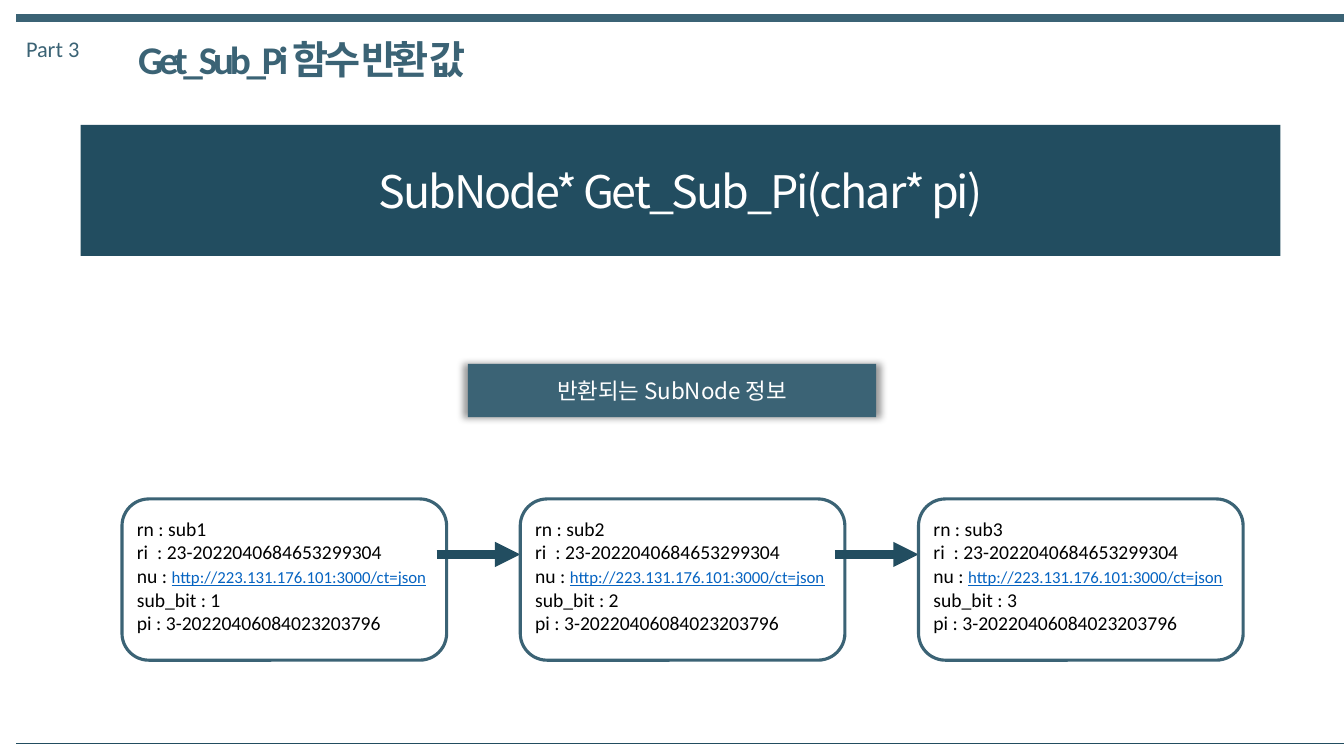
import dataclasses

import lxml.etree
import pptx
import pptx.dml.color
import pptx.enum.shapes
import pptx.enum.text
import pptx.oxml.ns
import pptx.util

Inches = pptx.util.Inches
Pt = pptx.util.Pt
Shape = pptx.enum.shapes.MSO_SHAPE
Align = pptx.enum.text.PP_ALIGN
Anchor = pptx.enum.text.MSO_ANCHOR


@dataclasses.dataclass(frozen=True)
class Theme:
    """Colours, fonts and type sizes of the slide."""
    dark: str = "224D60"
    teal: str = "3B6375"
    white: str = "FFFFFF"
    black: str = "000000"
    link: str = "0563C1"
    sans: str = "Calibri"
    noto: str = "Noto Sans CJK KR"
    hero: int = 32
    title: int = 28
    label: int = 16
    body: int = 14
    small: int = 12


THEME = Theme()


def rgb(code):
    """Turn a hex code into a colour."""
    return pptx.dml.color.RGBColor.from_string(code)


def add_tag(parent, tag, **attrs):
    """Append a DrawingML element and return it."""
    return lxml.etree.SubElement(parent, pptx.oxml.ns.qn(tag), attrs)


def style(run, size, color, font=THEME.sans, bold=False, space=0):
    """Format one run, with letter spacing in points."""
    run.font.size = Pt(size)
    run.font.name = font
    run.font.bold = bold
    run.font.color.rgb = rgb(color)
    props = run.font._element
    add_tag(props, "a:ea", typeface=THEME.noto)
    if space:
        props.set("spc", str(round(space * 100)))


def add_line(slide, start, end, color, width, arrow=False):
    """Draw a straight line, with an arrowhead if asked."""
    line = slide.shapes.add_connector(
        pptx.enum.shapes.MSO_CONNECTOR.STRAIGHT,
        *(Inches(n) for n in (*start, *end)))
    line.line.color.rgb = rgb(color)
    line.line.width = Pt(width)
    if arrow:
        add_tag(line.line._ln, "a:tailEnd", type="triangle")
    add_tag(line.element.spPr, "a:effectLst")


def add_band(slide, box, text, fill, size, space=0):
    """Draw a filled band with one centred line of text."""
    band = slide.shapes.add_shape(Shape.RECTANGLE, *map(Inches, box))
    band.shadow.inherit = False
    band.fill.solid()
    band.fill.fore_color.rgb = rgb(fill)
    band.line.fill.background()
    frame = band.text_frame
    frame.vertical_anchor = Anchor.MIDDLE
    frame.text = text
    line = frame.paragraphs[0]
    line.alignment = Align.CENTER
    style(line.runs[0], size, THEME.white, THEME.noto, space=space)
    return band


def add_glow(shape):
    """Give a shape a soft shadow on all sides."""
    effects = shape.element.spPr.find(pptx.oxml.ns.qn("a:effectLst"))
    outer = add_tag(effects, "a:outerShdw", blurRad=str(Pt(5)), dist="0",
                    sx="102000", sy="102000", algn="ctr", rotWithShape="0")
    color = add_tag(outer, "a:srgbClr", val=THEME.black)
    add_tag(color, "a:alpha", val="40000")


def add_head(slide, box):
    """Place the part label and the title in the header box."""
    left, top, width, height = box
    part = slide.shapes.add_textbox(
        Inches(left), Inches(top), Inches(0.74), Inches(0.37))
    part.text_frame.word_wrap = False
    part.text_frame.text = "Part 3"
    style(part.text_frame.paragraphs[0].runs[0], THEME.label, THEME.teal)

    title = slide.shapes.title
    title.left, title.top = Inches(left + 1.11), Inches(top)
    title.width, title.height = Inches(width - 1.11), Inches(height)
    frame = title.text_frame
    frame.word_wrap = True
    frame.auto_size = pptx.enum.text.MSO_AUTO_SIZE.NONE
    frame.vertical_anchor = Anchor.TOP
    frame.text = "Get_Sub_Pi 함수 반환 값"
    line = frame.paragraphs[0]
    line.alignment = Align.LEFT
    style(line.runs[0], THEME.title, THEME.teal, bold=True, space=-3)


def add_node(slide, box, index):
    """Draw one rounded card with the fields of a node."""
    card = slide.shapes.add_shape(Shape.ROUNDED_RECTANGLE, *map(Inches, box))
    card.shadow.inherit = False
    card.fill.background()
    card.line.color.rgb = rgb(THEME.teal)
    card.line.width = Pt(2.25)
    frame = card.text_frame
    frame.word_wrap = True
    frame.vertical_anchor = Anchor.TOP
    frame.margin_left, frame.margin_right = Inches(0.07), 0
    frame.margin_top, frame.margin_bottom = Inches(0.1), 0
    frame.text = "\n".join((
        f"rn : sub{index}",
        "ri  : 23-2022040684653299304",
        "nu : ",
        f"sub_bit : {index}",
        "pi : 3-20220406084023203796"))
    for line in frame.paragraphs:
        line.alignment = Align.LEFT
        style(line.runs[0], THEME.body, THEME.black)
    link = frame.paragraphs[2].add_run()
    link.text = "http://223.131.176.101:3000/ct=json"
    style(link, THEME.small, THEME.link)
    link.font.underline = True


def add_chain(slide, box, count):
    """Lay out the cards in a row and link them with arrows."""
    left, top, width, height = box
    wide = 3.22
    step = (width - wide) / (count - 1)
    for index in range(count):
        x = left + index * step
        add_node(slide, (x, top, wide, height), index + 1)
        if index < count - 1:
            y = top + 0.55
            add_line(slide, (x + wide - 0.1, y), (x + step, y),
                     THEME.dark, 6, arrow=True)


def main():
    """Build the slide and save it."""
    deck = pptx.Presentation()
    deck.slide_width, deck.slide_height = Inches(13.33), Inches(7.5)
    slide = deck.slides.add_slide(deck.slide_layouts[5])
    for y, color, width in ((0.18, THEME.teal, 6), (7.37, THEME.dark, 0.25)):
        add_line(slide, (0.16, y), (13.35, y), color, width)
    add_head(slide, (0.16, 0.3, 4.67, 0.57))
    add_band(slide, (0.8, 1.24, 11.9, 1.3), "SubNode* Get_Sub_Pi(char* pi)",
             THEME.dark, THEME.hero, space=-1.5)
    label = add_band(slide, (4.64, 3.61, 4.05, 0.53),
                     "반환되는 SubNode 정보", THEME.teal, THEME.label)
    add_glow(label)
    add_chain(slide, (1.21, 4.95, 11.12, 1.6), 3)
    deck.save("out.pptx")


if __name__ == "__main__":
    main()
